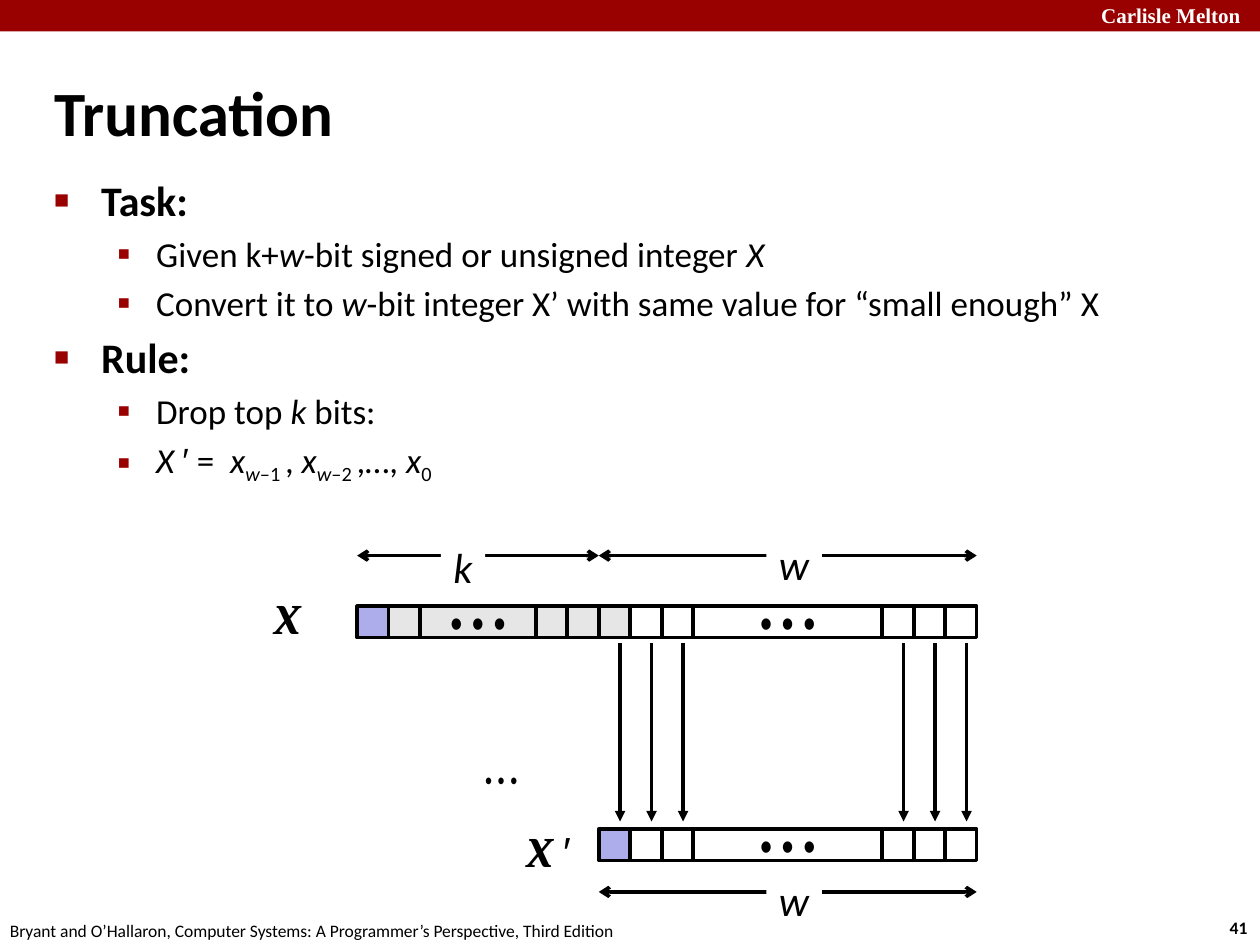
import lxml.etree
import pptx
import pptx.dml.color
import pptx.enum.shapes
import pptx.enum.text
import pptx.oxml.ns
import pptx.util

Cm, Pt = pptx.util.Cm, pptx.util.Pt
qn = pptx.oxml.ns.qn
TEXT = pptx.enum.text
COLORS = dict(red="990000", black="000000", white="FFFFFF", sign="ADADEB", dropped="E6E6E6")
CELL = 2.54 / 4
DOTS = "\u2022\u00a0\u2022\u00a0\u2022"
I = dict(italic=True)
SUB = dict(baseline=-25000)
SUB_I = dict(italic=True, baseline=-25000)
BULLETS = [dict(size=24, bold=True, indent=0.95, left=0.95, char="\u25a0", pct=60000),
           dict(size=20, bold=False, indent=0.79, left=2.06, char="\u25aa", pct=110000)]
BODY = [
    (0, [("Task:", {})]),
    (1, [("Given k+", {}), ("w", I), ("-bit signed or unsigned integer ", {}), ("X", I)]),
    (1, [("Convert it to ", {}), ("w", I),
         ("-bit integer X\u2019 with same value for \u201csmall enough\u201d X", {})]),
    (0, [("Rule:", {})]),
    (1, [("Drop top ", {}), ("k", I), (" bits:", {})]),
    (1, [("X ", I), ("\u2032", dict(name="Arial")), (" =  ", {}),
         ("x", I), ("w", SUB_I), ("\u20131 ", SUB), (", ", {}),
         ("x", I), ("w", SUB_I), ("\u20132 ", SUB), (",\u2026, ", {}),
         ("x", I), ("0", SUB)]),
]


def rgb(color):
    """Look up a named colour."""
    return pptx.dml.color.RGBColor.from_string(COLORS[color])


def child(parent, tag, **attrs):
    """Append an XML element."""
    el = lxml.etree.SubElement(parent, qn(tag))
    for key, value in attrs.items():
        el.set(key, str(value))
    return el


def add_runs(p, runs, **base):
    """Write (text, format) pairs into a paragraph over a base format."""
    for text, extra in runs:
        fmt = {"name": "Calibri", "size": 10, "color": "black", **base, **extra}
        r = p.add_run()
        r.text = text
        r.font.fill.solid()
        r.font.fill.fore_color.rgb = rgb(fmt.pop("color"))
        baseline = fmt.pop("baseline", 0)
        if baseline:
            r.font._element.set("baseline", str(baseline))
        fmt["size"] = Pt(fmt["size"])
        for key, value in fmt.items():
            setattr(r.font, key, value)


def add_text(s, box, runs, wrap=False, fill=None, **base):
    """Add a text box with one paragraph."""
    sp = s.shapes.add_textbox(*map(Cm, box))
    tf = sp.text_frame
    tf.word_wrap = wrap
    tf.auto_size = TEXT.MSO_AUTO_SIZE.SHAPE_TO_FIT_TEXT
    if fill:
        sp.fill.solid()
        sp.fill.fore_color.rgb = rgb(fill)
    add_runs(tf.paragraphs[0], runs, **base)
    return sp


def add_rect(s, box, fill, outlined=True):
    """Add a filled rectangle, with a black outline if wanted."""
    sp = s.shapes.add_shape(pptx.enum.shapes.MSO_SHAPE.RECTANGLE, *map(Cm, box))
    sp.shadow.inherit = False
    sp.fill.solid()
    sp.fill.fore_color.rgb = rgb(fill)
    if outlined:
        sp.line.color.rgb = rgb("black")
        sp.line.width = Pt(2)
    else:
        sp.line.fill.background()
    return sp


def add_arrow(s, x1, y1, x2, y2, **ends):
    """Add a black line with the given headEnd and tailEnd arrowheads."""
    line = s.shapes.add_connector(pptx.enum.shapes.MSO_CONNECTOR.STRAIGHT,
                                  *map(Cm, (x1, y1, x2, y2)))
    line.line.color.rgb = rgb("black")
    line.line.width = Pt(2)
    for end, kind in ends.items():
        child(line.line._get_or_add_ln(), "a:" + end, type=kind)
    child(line._element.spPr, "a:effectLst")


def add_frame(s, width, height):
    """Draw the top band, the footer and the page number."""
    add_rect(s, (0, 0, width, CELL), "red", outlined=False)
    add_text(s, (width - 3.45, -0.08, 3.63, 0.76), [("Carlisle Melton", {})], wrap=True,
             name="Times New Roman", size=12, bold=True, color="white")
    add_text(s, (width - 0.86, height - 0.69, 0.94, 0.69), [("41", {})], bold=True)
    add_text(s, (-0.05, height - 0.63, 12.9, 0.69),
             [("Bryant and O\u2019Hallaron, Computer Systems: "
               "A Programmer\u2019s Perspective, Third Edition", {})])


def add_title(s, x, y, w, h):
    """Place the slide title."""
    sp = add_text(s, (x, y, w, h), [("Truncation", {})], wrap=True, size=36, bold=True)
    sp.text_frame.auto_size = TEXT.MSO_AUTO_SIZE.NONE
    sp.text_frame.vertical_anchor = TEXT.MSO_ANCHOR.MIDDLE


def add_body(s, x, y, w, h):
    """Place the two-level bullet list."""
    tf = s.shapes.add_textbox(*map(Cm, (x, y, w, h))).text_frame
    tf.word_wrap = True
    for n, (level, runs) in enumerate(BODY):
        p = tf.add_paragraph() if n else tf.paragraphs[0]
        p.level = level
        b = BULLETS[level]
        pPr = p._p.get_or_add_pPr()
        pPr.set("marL", str(Cm(b["left"])))
        pPr.set("indent", str(-Cm(b["indent"])))
        child(child(pPr, "a:spcBef"), "a:spcPct", val=20000)
        child(child(pPr, "a:buClr"), "a:srgbClr", val=COLORS["red"])
        child(pPr, "a:buSzPct", val=b["pct"])
        child(pPr, "a:buFont", typeface="Arial")
        child(pPr, "a:buChar", char=b["char"])
        add_runs(p, runs, size=b["size"], bold=b["bold"])


def add_bits(s, x, y, cells):
    """Draw a row of bits from (width in cells, fill); wide ones hold dots."""
    for width, fill in cells:
        sp = add_rect(s, (x, y, width * CELL, CELL), fill)
        if width > 1:
            tf = sp.text_frame
            tf.word_wrap = False
            tf.vertical_anchor = TEXT.MSO_ANCHOR.MIDDLE
            p = tf.paragraphs[0]
            p.alignment = TEXT.PP_ALIGN.CENTER
            add_runs(p, [(DOTS, {})], name="Arial Narrow", size=24)
        x += width * CELL


def add_span(s, x, y, w, label, dx, dy, label_w):
    """Draw a double arrow of width w with a label over it."""
    add_arrow(s, x, y, x + w, y, headEnd="arrow", tailEnd="arrow")
    add_text(s, (x + dx, y + dy, label_w, 1.3), [(label, I)], fill="white", size=24)


def add_diagram(s, x, y):
    """Draw the long word, the truncated word and the arrows between them."""
    low = [(1, "white")] * 2 + [(6, "white")] + [(1, "white")] * 3
    high = [(1, "sign"), (1, "dropped"), (3.67, "dropped"), (1, "dropped"), (1, "dropped")]
    k_width = sum(width for width, _ in high) * CELL
    w_width = 12 * CELL
    wx, y2 = x + k_width, y + 4.49
    for i in (0, 1, 2, 9, 10, 11):
        ax = wx + i * CELL + 0.43
        add_arrow(s, ax, y + 0.74, ax, y2 - 0.15, tailEnd="triangle")
    add_text(s, (x + 2.33, y + 3.07, 1.98, 0.84), [(DOTS, {})], name="Arial Narrow", size=14)
    add_bits(s, x, y, high + [(1, "dropped")] + low)
    add_bits(s, wx, y2, [(1, "sign")] + low)
    name = ("X", dict(bold=True, italic=True, name="Cambria"))
    add_text(s, (x - 1.92, y - 0.41, 1.09, 1.27), [name], size=24)
    add_text(s, (wx - 1.7, y2 - 0.2, 1.73, 1.27),
             [name, (" \u2032 ", dict(name="Arial"))], size=24)
    add_span(s, wx, y2 + 1.27, w_width, "w", 3.38, -0.48, 1.12)
    add_span(s, wx, y - 1.02, w_width, "w", 3.38, -0.46, 1.12)
    add_span(s, x, y - 1.02, k_width, "k", 1.69, -0.41, 0.89)


prs = pptx.Presentation()
prs.slide_width, prs.slide_height = Cm(25.4), Cm(19.05)
s = prs.slides.add_slide(prs.slide_layouts[6])
add_frame(s, 25.4, 19.05)
add_title(s, 0.84, 1.47, 16.97, 1.55)
add_body(s, 0.84, 3.4, 23.04, 6.55)
add_diagram(s, 7.2, 12.22)
prs.save("out.pptx")
